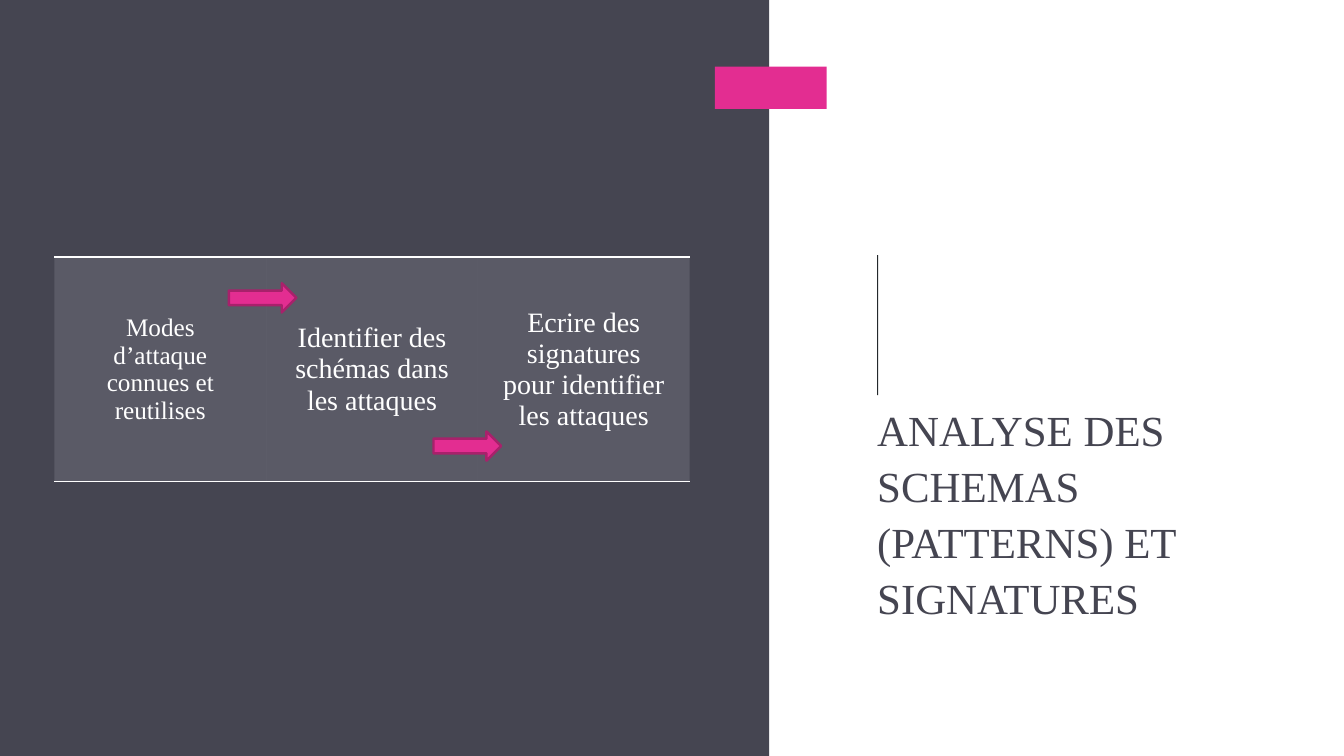
from lxml import etree
from pptx import Presentation
from pptx.dml.color import RGBColor
from pptx.enum.shapes import MSO_SHAPE
from pptx.enum.text import MSO_ANCHOR, MSO_AUTO_SIZE, PP_ALIGN
from pptx.oxml.ns import qn
from pptx.util import Inches, Pt

RECTANGLE, RIGHT_ARROW = MSO_SHAPE.RECTANGLE, MSO_SHAPE.RIGHT_ARROW
MIDDLE, BOTTOM = MSO_ANCHOR.MIDDLE, MSO_ANCHOR.BOTTOM
LEFT, CENTER = PP_ALIGN.LEFT, PP_ALIGN.CENTER
NO_AUTOFIT = MSO_AUTO_SIZE.NONE

SLATE = RGBColor(0x45, 0x45, 0x51)
INK = RGBColor(0x24, 0x28, 0x2B)
PINK = RGBColor(0xE3, 0x2D, 0x91)
DARK_PINK = RGBColor(0xA8, 0x21, 0x6B)
CELL_GREY = RGBColor(0xB1, 0xB1, 0xBD)
WHITE = RGBColor(0xFF, 0xFF, 0xFF)

FONT = "Times New Roman"
PLAIN_TABLE_STYLE = "{2D5ABB26-0587-4C30-8999-92F81FD0307C}"
CELL_OPACITY = 20
CELL_MARGIN = 0.25
COLUMN_WIDTH = 2.1
ROW_HEIGHTS = [1.91, 2.23, 2.23]
STEP_ROW = 1
STEPS = [
    ("Modes d’attaque connues et reutilises", 18),
    ("Identifier des schémas dans les attaques", 20),
    ("Ecrire des signatures pour identifier les attaques", 20),
]
ARROW_POSITIONS = [(2.27, 2.81), (4.3, 4.28)]


def add_block(slide, kind, left, top, width, height, color, line_color=None):
    block = slide.shapes.add_shape(
        kind, Inches(left), Inches(top), Inches(width), Inches(height))
    block.shadow.inherit = False
    block.fill.solid()
    block.fill.fore_color.rgb = color
    if line_color is None:
        block.line.fill.background()
    else:
        block.line.color.rgb = line_color
        block.line.width = Pt(1.75)


def write_text(frame, text, size, color, alignment):
    para = frame.paragraphs[0]
    para.alignment = alignment
    span = para.add_run()
    span.text = text
    span.font.name = FONT
    span.font.size = Pt(size)
    span.font.color.rgb = color
    return para


def set_title(slide, text):
    title = slide.shapes.title
    title.left, title.top = Inches(8.7), Inches(4.03)
    title.width, title.height = Inches(4), Inches(2.15)
    frame = title.text_frame
    frame.word_wrap = True
    frame.auto_size = NO_AUTOFIT
    frame.vertical_anchor = BOTTOM
    frame.margin_left = frame.margin_right = 0
    frame.margin_top = frame.margin_bottom = 0
    para = write_text(frame, text, 30.6, SLATE, LEFT)
    para.line_spacing = 1.09


def set_borders(cell, ruled_sides):
    """Rule the given sides in white; borders come before the fill."""
    properties = cell._tc.get_or_add_tcPr()
    for position, side in enumerate("LRTB"):
        line = etree.Element(qn(f"a:ln{side}"), w=str(Pt(1)))
        if side in ruled_sides:
            fill = etree.SubElement(line, qn("a:solidFill"))
            etree.SubElement(fill, qn("a:srgbClr"), val=str(WHITE))
        else:
            etree.SubElement(line, qn("a:noFill"))
        properties.insert(position, line)


def fill_step_cell(cell, text, size):
    cell.vertical_anchor = MIDDLE
    cell.margin_left = cell.margin_right = Inches(CELL_MARGIN)
    cell.margin_top = cell.margin_bottom = Inches(CELL_MARGIN)
    write_text(cell.text_frame, text, size, WHITE, CENTER)
    cell.fill.solid()
    cell.fill.fore_color.rgb = CELL_GREY
    color = cell._tc.tcPr.find(f".//{qn('a:srgbClr')}")
    etree.SubElement(color, qn("a:alpha"), val=str(CELL_OPACITY * 1000))


def add_step_table(slide):
    frame = slide.shapes.add_table(
        len(ROW_HEIGHTS), len(STEPS), Inches(0.54), Inches(0.64),
        Inches(COLUMN_WIDTH * len(STEPS)), Inches(sum(ROW_HEIGHTS)))
    table = frame.table
    table.first_row = table.horz_banding = False
    table._tbl.tblPr.find(qn("a:tableStyleId")).text = PLAIN_TABLE_STYLE
    for column in table.columns:
        column.width = Inches(COLUMN_WIDTH)
    # Only the step row is filled; the rows around it stay clear
    borders = ["B", "TB", "T"]
    for row_index, height in enumerate(ROW_HEIGHTS):
        table.rows[row_index].height = Inches(height)
        for column_index, (text, size) in enumerate(STEPS):
            cell = table.cell(row_index, column_index)
            if row_index == STEP_ROW:
                fill_step_cell(cell, text, size)
            else:
                cell.fill.background()
            set_borders(cell, borders[row_index])


def main():
    deck = Presentation()
    deck.slide_width, deck.slide_height = Inches(13.33), Inches(7.5)
    slide = deck.slides.add_slide(deck.slide_layouts[5])

    # Side panel, vertical rule and accent
    add_block(slide, RECTANGLE, 0, 0, 7.63, 7.5, SLATE)
    add_block(slide, RECTANGLE, 8.7, 2.53, 0.01, 1.39, INK)
    add_block(slide, RECTANGLE, 7.09, 0.66, 1.11, 0.42, PINK)

    # Title and the three steps
    set_title(slide, "ANALYSE DES SCHEMAS (PATTERNS) ET SIGNATURES")
    add_step_table(slide)

    # Arrows between the steps
    for left, top in ARROW_POSITIONS:
        add_block(slide, RIGHT_ARROW, left, top, 0.67, 0.29, PINK, DARK_PINK)

    deck.save("out.pptx")


if __name__ == "__main__":
    main()
